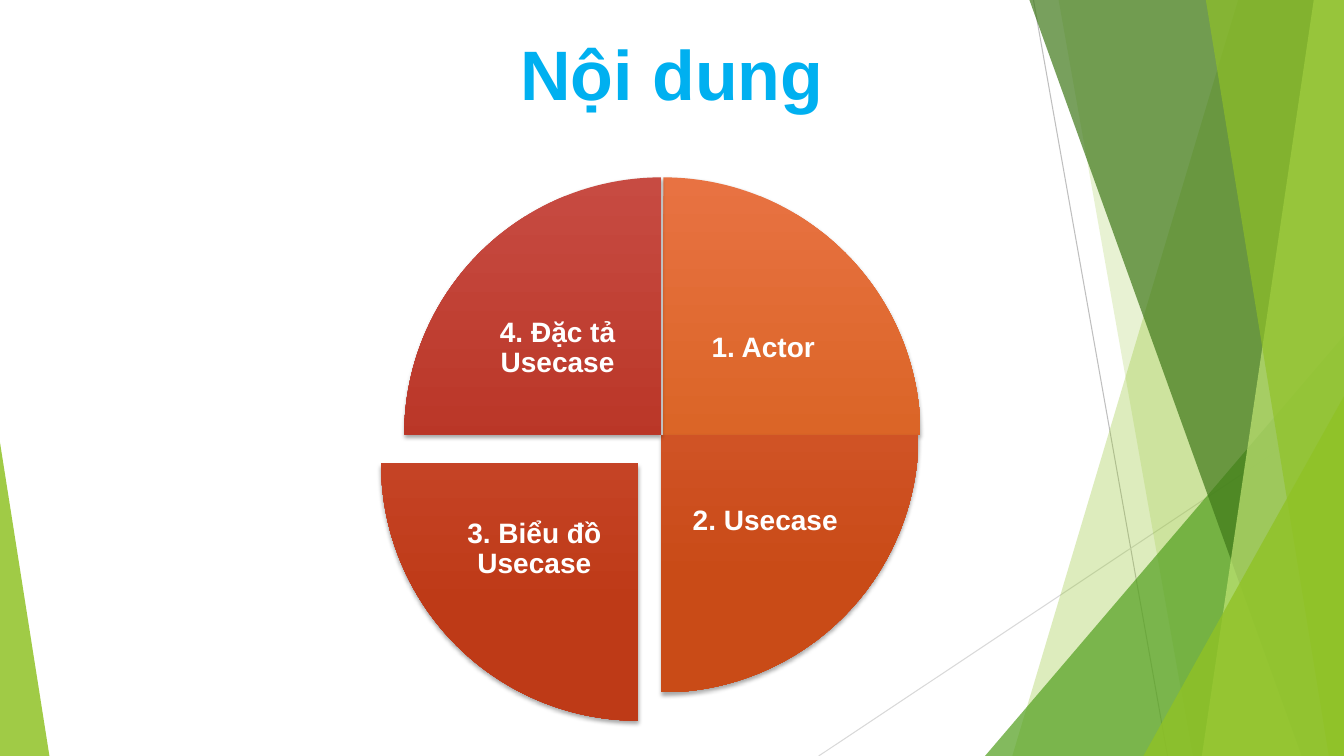
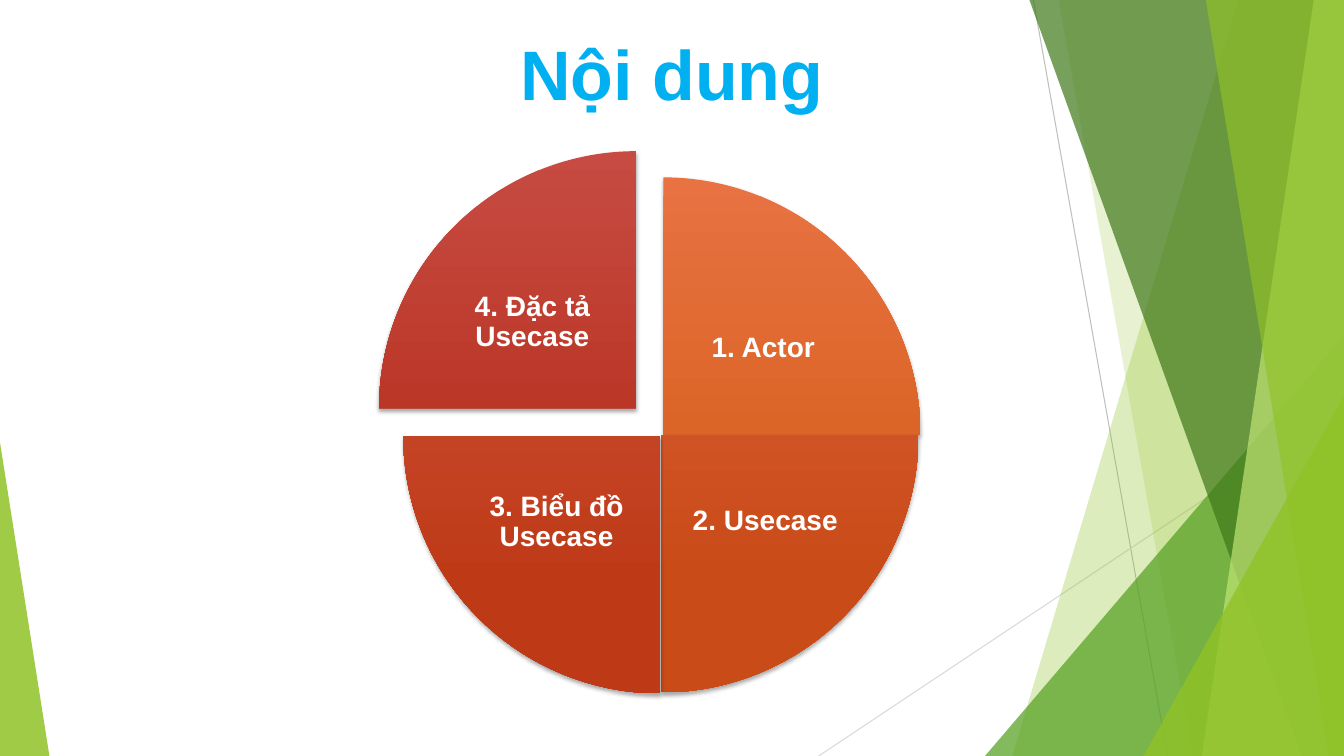
"""Build two contents slides, each with a four-part pie and one part pulled out."""
from dataclasses import dataclass

from lxml import etree
from pptx import Presentation
from pptx import util as u
from pptx.dml.color import RGBColor
from pptx.enum import shapes, text
from pptx.oxml import ns

WIDE, HIGH = 13.33, 7.5
PIE = 5.1
TURN, PART = 216, 54
LABEL = (1.88, 1.52)
FONT = "Arial"
HEX = {
    "title": "00B0F0", "white": "FFFFFF", "black": "000000",
    "gray": "BFBFBF", "pale": "D9D9D9",
    "lime": "90C226", "green": "54A021", "dark": "3F7819", "light": "C0E474",
}


@dataclass
class Rule:
    start: tuple[float, float]
    end: tuple[float, float]
    tone: str


@dataclass
class Panel:
    top: float
    foot: float
    tone: str
    alpha: int


@dataclass
class Peak:
    left: float
    top: float
    width: float
    apex: int
    tone: str
    alpha: int


@dataclass
class Slice:
    label: str
    start: int
    spot: tuple[float, float]
    note: tuple[float, float]
    shades: tuple[str, str]


RULES = [
    Rule((10.25, 0), (11.58, HIGH), "gray"),
    Rule((WIDE, 4.03), (8.12, HIGH), "pale"),
]
FACETS = [
    Panel(12.28, 10.04, "lime", 30),
    Panel(10.5, 11.83, "lime", 20),
    Peak(9.77, 3.33, 3.56, 1, "green", 72),
    Panel(10.21, 12.91, "dark", 70),
    Panel(13.03, 11.92, "light", 70),
    Panel(11.96, 13.18, "lime", 65),
    Peak(11.34, 3.93, 1.99, 1, "lime", 80),
    Peak(0, 4.39, 0.49, 0, "lime", 85),
]
SLICES = [
    Slice("1. Actor", 162, (4.03, 1.76), (6.63, 2.7), ("E87242", "D35D16")),
    Slice("2. Usecase", 0, (4.01, 1.77), (6.65, 4.41), ("DD6242", "C94B17")),
    Slice("3. Biểu đồ Usecase", 54, (4, 1.78), (4.58, 4.42), ("D25542", "BE3A17")),
    Slice("4. Đặc tả Usecase", 108, (4.01, 1.76), (4.59, 2.7), ("C74B42", "B32B18")),
]
PULLS = [{2: (-0.22, 0.27)}, {3: (-0.25, -0.26)}]


def rgb(code: str) -> RGBColor:
    return RGBColor.from_string(code)


def add(node, tag: str, **attrs):
    return etree.SubElement(node, ns.qn(tag), {k: str(v) for k, v in attrs.items()})


def tint(shape, tone: str, alpha: int) -> None:
    shape.shadow.inherit = False
    shape.line.fill.background()
    shape.fill.solid()
    shape.fill.fore_color.rgb = rgb(HEX[tone])
    color = next(shape.element.spPr.iter(ns.qn("a:srgbClr")))
    add(color, "a:alpha", val=alpha * 1000)


def style(frame, size: int, tone: str) -> None:
    frame.word_wrap = True
    frame.auto_size = text.MSO_AUTO_SIZE.NONE
    frame.vertical_anchor = text.MSO_ANCHOR.MIDDLE
    par = frame.paragraphs[0]
    par.alignment = text.PP_ALIGN.CENTER
    font = par.runs[0].font
    font.name, font.size, font.bold = FONT, u.Pt(size), True
    font.color.rgb = rgb(HEX[tone])


def draw_rule(group, rule: Rule) -> None:
    ends = [u.Inches(n) for n in rule.start + rule.end]
    line = group.shapes.add_connector(shapes.MSO_CONNECTOR.STRAIGHT, *ends)
    line.line.color.rgb = rgb(HEX[rule.tone])
    line.line.width = u.Pt(0.75)
    add(line.element.spPr, "a:effectLst")


def draw_panel(group, panel: Panel) -> None:
    spots = [(panel.top, 0), (WIDE, 0), (WIDE, HIGH), (panel.foot, HIGH)]
    first, *rest = [(u.Inches(x), u.Inches(y)) for x, y in spots]
    form = group.shapes.build_freeform(*first)
    form.add_line_segments(rest, close=True)
    tint(form.convert_to_shape(), panel.tone, panel.alpha)


def draw_peak(group, peak: Peak) -> None:
    box = (peak.left, peak.top, peak.width, HIGH - peak.top)
    shape = group.shapes.add_shape(
        shapes.MSO_SHAPE.ISOSCELES_TRIANGLE, *map(u.Inches, box))
    shape.adjustments[0] = peak.apex
    tint(shape, peak.tone, peak.alpha)


def set_layout(layout, slide) -> None:
    title = layout.placeholders[0]
    title.left, title.top = u.Inches(1.25), u.Inches(0.27)
    title.width, title.height = u.Inches(10.83), u.Inches(0.9)
    group = slide.shapes.add_group_shape()
    for rule in RULES:
        draw_rule(group, rule)
    for facet in FACETS:
        if isinstance(facet, Panel):
            draw_panel(group, facet)
        else:
            draw_peak(group, facet)
    for num, node in enumerate(group.element.iter(ns.qn("p:cNvPr")), 100):
        node.set("id", str(num))
    layout.shapes.element.insert(2, group.element)


def draw_slice(slide, part: Slice, pull: tuple[float, float]) -> None:
    left, top = (u.Inches(a + b) for a, b in zip(part.spot, pull))
    pie = slide.shapes.add_shape(
        shapes.MSO_SHAPE.PIE, left, top, u.Inches(PIE), u.Inches(PIE))
    pie.adjustments[0] = part.start
    pie.adjustments[1] = (part.start + PART) % TURN
    pie.line.fill.background()
    pie.fill.gradient()
    pie.fill.gradient_angle = 270
    for stop, place, shade in zip(pie.fill.gradient_stops, (0, 0.78), part.shades):
        stop.position = place
        stop.color.rgb = rgb(shade)
    pie.shadow.inherit = False
    effect = pie.element.spPr.find(ns.qn("a:effectLst"))
    shadow = add(effect, "a:outerShdw", blurRad=u.Pt(3), dist=u.Pt(2),
                 dir=5400000, rotWithShape=0)
    add(add(shadow, "a:srgbClr", val=HEX["black"]), "a:alpha", val=35000)

    left, top = (u.Inches(a + b) for a, b in zip(part.note, pull))
    frame = slide.shapes.add_textbox(left, top, *map(u.Inches, LABEL)).text_frame
    frame.text = part.label
    frame.margin_left = frame.margin_right = u.Inches(0.03)
    frame.margin_top = frame.margin_bottom = u.Inches(0.03)
    frame.paragraphs[0].line_spacing = 0.9
    style(frame, 20, "white")


def main() -> None:
    deck = Presentation()
    deck.slide_width, deck.slide_height = u.Inches(WIDE), u.Inches(HIGH)
    layout = deck.slide_layouts[5]
    slides = [deck.slides.add_slide(layout) for _ in PULLS]
    set_layout(layout, slides[0])
    for slide, pulls in zip(slides, PULLS):
        frame = slide.shapes.title.text_frame
        frame.text = "Nội dung"
        style(frame, 50, "title")
        for num, part in enumerate(SLICES):
            draw_slice(slide, part, pulls.get(num, (0, 0)))
    deck.save("out.pptx")


if __name__ == "__main__":
    main()
